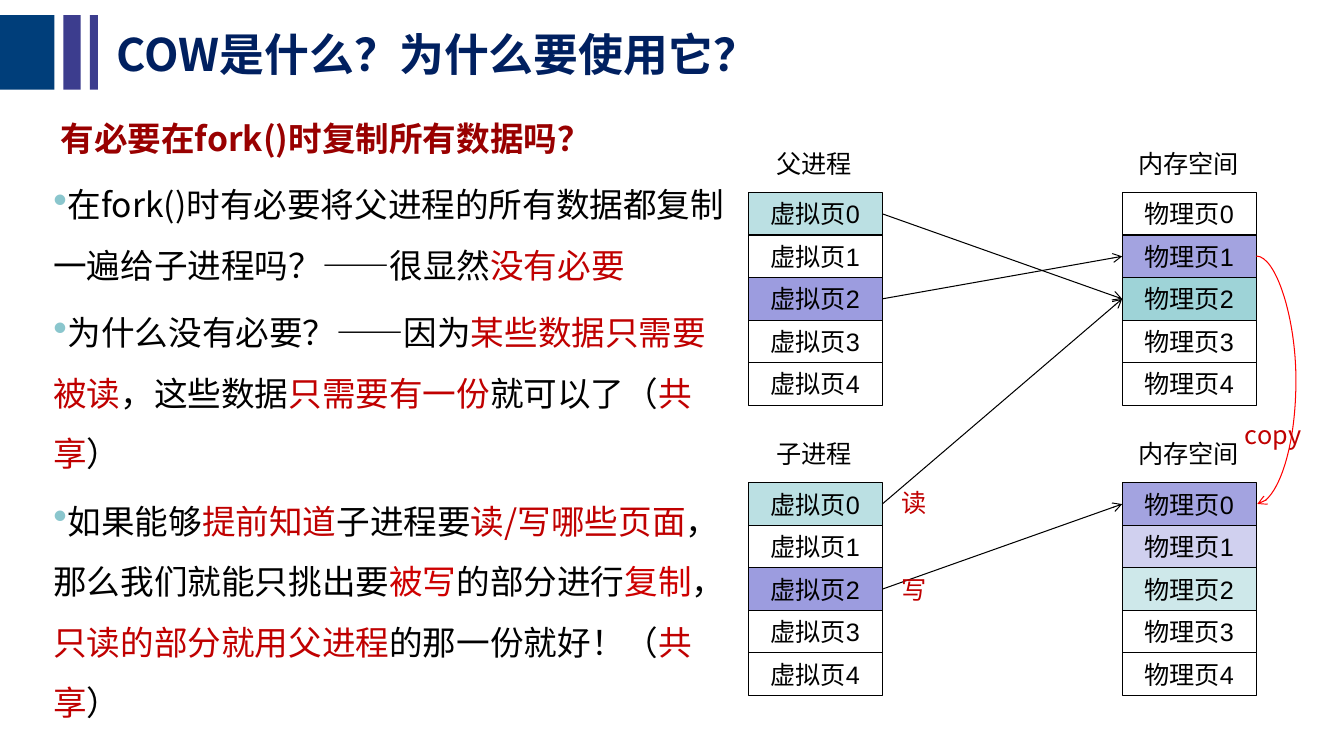
import pptx
import pptx.dml.color
import pptx.enum.shapes
import pptx.enum.text
import pptx.oxml
import pptx.oxml.ns
import pptx.util
from lxml import etree

Inches = pptx.util.Inches
Pt = pptx.util.Pt
rgb = pptx.dml.color.RGBColor.from_string
qn = pptx.oxml.ns.qn
RECTANGLE = pptx.enum.shapes.MSO_SHAPE.RECTANGLE
CONNECTOR = pptx.enum.shapes.MSO_CONNECTOR
MIDDLE = pptx.enum.text.MSO_ANCHOR.MIDDLE
LEFT = pptx.enum.text.PP_ALIGN.LEFT
CENTER = pptx.enum.text.PP_ALIGN.CENTER
SANS = "Noto Sans CJK SC"
BLACK, RED, WRITE_RED, WHITE = "000000", "C00000", "CE0000", "FFFFFF"

presentation = pptx.Presentation()
presentation.slide_width = Inches(13.33)
presentation.slide_height = Inches(7.5)
slide = presentation.slides.add_slide(presentation.slide_layouts[6])


def write(shape, paragraphs, size, font="Noto Sans CJK SC", bold=False, bullet=False,
          frame_format=None, **paragraph_format):
    """Fill a shape with paragraphs, each a list of (text, colour) runs."""
    frame = shape.text_frame
    for name, value in {"word_wrap": True, **(frame_format or {})}.items():
        setattr(frame, name, value)
    for index, runs in enumerate(paragraphs):
        paragraph = frame.add_paragraph() if index else frame.paragraphs[0]
        if bullet:
            properties = paragraph._p.get_or_add_pPr()
            bullet_colour = etree.SubElement(properties, qn("a:buClr"))
            etree.SubElement(bullet_colour, qn("a:srgbClr"), val="8AC6CD")
            etree.SubElement(properties, qn("a:buSzPct"), val="120000")
            etree.SubElement(properties, qn("a:buChar"), char="•")
        for name, value in paragraph_format.items():
            setattr(paragraph, name, value)
        if index:
            paragraph.space_before = Pt(5)
        for text, colour in runs:
            run = paragraph.add_run()
            run.text = text
            for name, value in {"size": Pt(size), "name": font, "bold": bold}.items():
                setattr(run.font, name, value)
            run.font.color.rgb = rgb(colour)
            etree.SubElement(run._r.get_or_add_rPr(), qn("a:ea"), typeface=SANS)


def add_arrow(kind, start, end, colour):
    arrow = slide.shapes.add_connector(kind, *map(Inches, start + end))
    arrow.line.width = Pt(0.75)
    arrow.line.color.rgb = rgb(colour)
    etree.SubElement(arrow.line._get_or_add_ln(), qn("a:tailEnd"), type="arrow")
    etree.SubElement(arrow._element.spPr, qn("a:effectLst"))
    return arrow


# Title band
for left, width, colour in [(0, 0.54, "003E7A"), (0.63, 0.17, "3C3D8E"), (0.89, 0.08, "3C3D8E")]:
    bar = slide.shapes.add_shape(RECTANGLE, Inches(left), Inches(0.15), Inches(width), Inches(0.74))
    bar.shadow.inherit = False
    bar.fill.solid()
    bar.fill.fore_color.rgb = rgb(colour)
    bar.line.fill.background()

title = slide.shapes.add_textbox(Inches(1.06), Inches(0.16), Inches(9.18), Inches(0.75))
write(title, [[("COW是什么？为什么要使用它？", "002060")]], 32, bold=True,
      frame_format={"vertical_anchor": MIDDLE})

# Question and explanation
question = slide.shapes.add_textbox(Inches(0), Inches(0.92), Inches(8.31), Inches(0.77))
write(question, [[("有必要在fork()时复制所有数据吗？", "990000")]], 24, bold=True,
      frame_format={"margin_left": Inches(0.6)}, line_spacing=1.5)

explanation = slide.shapes.add_textbox(Inches(0.43), Inches(1.58), Inches(6.98), Inches(4.99))
write(explanation, [
    [("在fork()时有必要将父进程的所有数据都复制一遍给子进程吗？——很显然", BLACK),
     ("没有必要", RED)],
    [("为什么没有必要？——因为", BLACK), ("某些数据只需要被读", RED), ("，这些数据", BLACK),
     ("只需要有一份", RED), ("就可以了（", BLACK), ("共享", RED), ("）", BLACK)],
    [("如果能够", BLACK), ("提前知道", RED), ("子进程要", BLACK), ("读/写哪些页面", RED),
     ("，那么我们就能只挑出要", BLACK), ("被写", WRITE_RED), ("的部分进行", BLACK),
     ("复制", WRITE_RED), ("，", BLACK), ("只读的部分就用父进程", RED),
     ("的那一份就好！（", BLACK), ("共享", RED), ("）", BLACK)],
], 24, bullet=True, line_spacing=1.5)

# Page columns: name, left, top, page label, {row: (fill, opacity in percent)}
VIRTUAL_LEFT, PHYSICAL_LEFT, PARENT_TOP, CHILD_TOP = 7.42, 11.13, 1.91, 4.79
PAGE_WIDTH, PAGE_HEIGHT = 1.33, 2.11 / 5
virtual_fills = {0: ("BBE0E3", 100), 2: ("9C9CDF", 100)}
columns = [
    ("parent", VIRTUAL_LEFT, PARENT_TOP, "虚拟页", virtual_fills),
    ("parent memory", PHYSICAL_LEFT, PARENT_TOP, "物理页",
     {1: ("A3A3E0", 100), 2: ("9ED3D7", 100)}),
    ("child", VIRTUAL_LEFT, CHILD_TOP, "虚拟页", virtual_fills),
    ("child memory", PHYSICAL_LEFT, CHILD_TOP, "物理页",
     {0: ("A3A3E0", 100), 1: ("A3A3E0", 50), 2: ("9ED3D7", 50)}),
]
pages = {}
for column, left, top, label, fills in columns:
    for row in range(5):
        page = slide.shapes.add_shape(RECTANGLE, Inches(left), Inches(top + row * PAGE_HEIGHT),
                                      Inches(PAGE_WIDTH), Inches(PAGE_HEIGHT))
        colour, opacity = fills.get(row, (WHITE, 100))
        page.shadow.inherit = False
        page.fill.solid()
        page.fill.fore_color.rgb = rgb(colour)
        if opacity < 100:
            fill_colour = page._element.spPr.find(qn("a:solidFill"))[0]
            etree.SubElement(fill_colour, qn("a:alpha"), val=str(opacity * 1000))
        page.line.color.rgb = rgb(BLACK)
        page.line.width = Pt(0.75)
        write(page, [[(f"{label}{row}", BLACK)]], 18, font="Arial",
              frame_format={"vertical_anchor": MIDDLE}, alignment=CENTER)
        pages[column, row] = page

# Page mappings
for source, target in [
    (("parent", 2), ("parent memory", 1)),
    (("parent", 0), ("parent memory", 2)),
    (("child", 2), ("child memory", 0)),
    (("child", 0), ("parent memory", 2)),
]:
    mapping = add_arrow(CONNECTOR.STRAIGHT, (0, 0), (1, 1), BLACK)
    mapping.begin_connect(pages[source], 3)
    mapping.end_connect(pages[target], 1)

copy_arrow = add_arrow(CONNECTOR.CURVE, (12.46, 2.54), (12.47, 5), "FF0000")
adjustments = copy_arrow._element.spPr.find(qn("a:prstGeom")).get_or_add_avLst()
etree.SubElement(adjustments, qn("a:gd"), name="adj1", fmla="val 4000000")

# Labels
for text, left, top, width, colour, alignment in [
    ("父进程", 7.47, 1.42, 1.21, BLACK, CENTER),
    ("内存空间", 11.19, 1.42, 1.21, BLACK, LEFT),
    ("子进程", 7.47, 4.3, 1.21, BLACK, CENTER),
    ("内存空间", 11.19, 4.3, 1.21, BLACK, LEFT),
    ("copy", 12.25, 4.11, 0.84, RED, LEFT),
    ("读", 8.65, 4.79, 0.84, RED, CENTER),
    ("写", 8.65, 5.65, 0.84, RED, CENTER),
]:
    label_box = slide.shapes.add_textbox(Inches(left), Inches(top), Inches(width), Inches(0.4))
    write(label_box, [[(text, colour)]], 18, alignment=alignment)

presentation.save("out.pptx")
